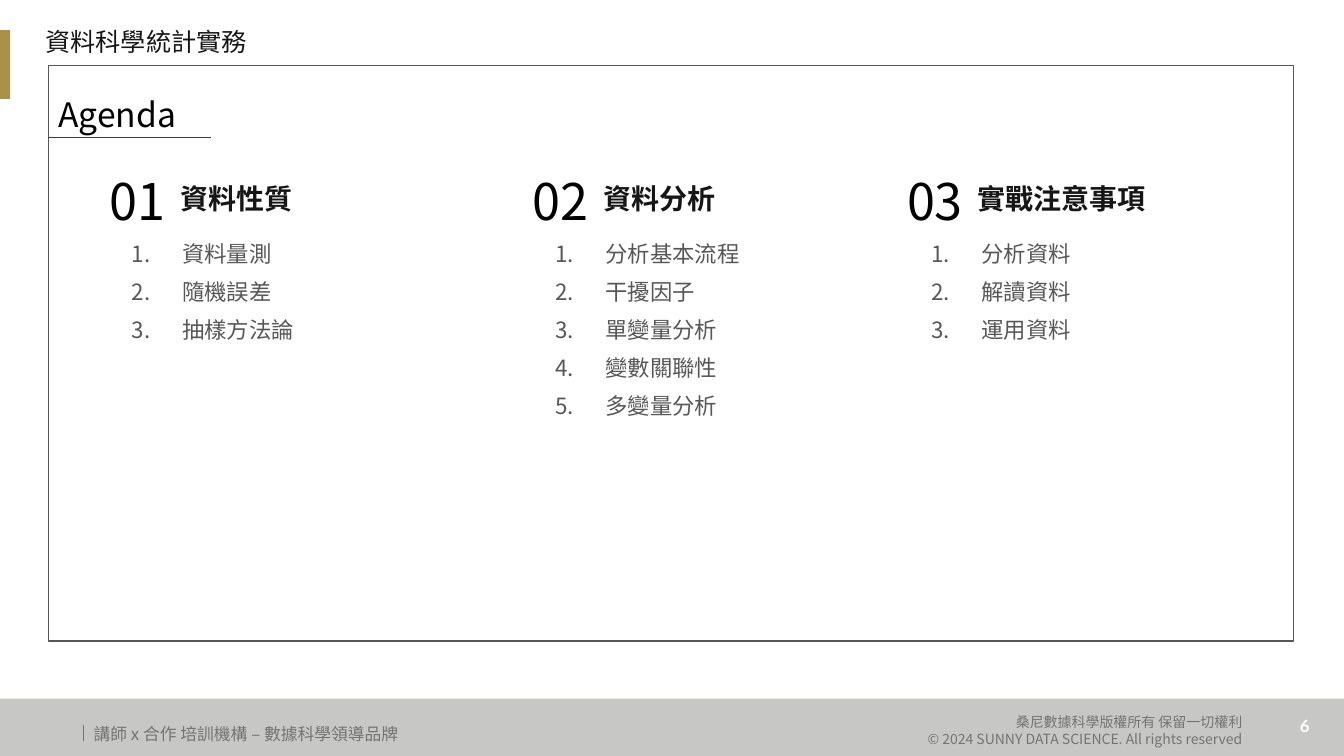
import pptx
import pptx.dml.color
import pptx.enum.shapes
import pptx.enum.text
import pptx.oxml.ns
import pptx.util
from lxml import etree

Pt = pptx.util.Pt
ALIGN = pptx.enum.text.PP_ALIGN
ANCHOR = pptx.enum.text.MSO_ANCHOR
SANS = "Noto Sans CJK SC"
GREY, FOOTER_GREY, INK = "565856", "737572", "161616"

# number, number left, list left, list width, heading, topics
SECTIONS = [
    ("01", 55.4, 87.1, 206, "資料性質", ["資料量測", "隨機誤差", "抽樣方法論"]),
    ("02", 357.8, 389.5, 318, "資料分析",
     ["分析基本流程", "干擾因子", "單變量分析", "變數關聯性", "多變量分析"]),
    ("03", 625, 658.1, 266, "實戰注意事項", ["分析資料", "解讀資料", "運用資料"]),
]


def color(hex_value):
    return pptx.dml.color.RGBColor.from_string(hex_value)


def add_box(slide, left, top, width, height, fill=None, line=None):
    box = slide.shapes.add_shape(pptx.enum.shapes.MSO_SHAPE.RECTANGLE,
                                 Pt(left), Pt(top), Pt(width), Pt(height))
    box.shadow.inherit = False
    if fill:
        box.fill.solid()
        box.fill.fore_color.rgb = color(fill)
    else:
        box.fill.background()
    if line:
        box.line.color.rgb = color(line)
        box.line.width = Pt(1)
    else:
        box.line.fill.background()


def add_rule(slide, x1, y1, x2, y2, line):
    rule = slide.shapes.add_connector(pptx.enum.shapes.MSO_CONNECTOR.STRAIGHT,
                                      Pt(x1), Pt(y1), Pt(x2), Pt(y2))
    rule.line.color.rgb = color(line)
    rule.line.width = Pt(0.5)
    etree.SubElement(rule._element.spPr, pptx.oxml.ns.qn("a:effectLst"))


def add_text(slide, left, top, width, height, lines, size, ink, font=SANS,
             bold=False, align=ALIGN.LEFT, anchor=ANCHOR.TOP, wrap=True,
             margins=(7.2, 3.6), spacing=None):
    frame = slide.shapes.add_textbox(Pt(left), Pt(top), Pt(width), Pt(height)).text_frame
    frame.word_wrap = wrap
    frame.vertical_anchor = anchor
    frame.margin_left = frame.margin_right = Pt(margins[0])
    frame.margin_top = frame.margin_bottom = Pt(margins[1])
    frame.text = "\n".join(lines)
    for paragraph in frame.paragraphs:
        paragraph.alignment = align
        paragraph.line_spacing = spacing
        for run in paragraph.runs:
            run.font.size = Pt(size)
            run.font.bold = bold
            run.font.name = font
            run.font.color.rgb = color(ink)
            east_asian = etree.SubElement(run._r.get_or_add_rPr(), pptx.oxml.ns.qn("a:ea"))
            east_asian.set("typeface", font)
    return frame


def add_numbered_list(slide, left, width, topics):
    frame = add_text(slide, left, 170, width, 160, topics, 16, GREY, spacing=0.9)
    for index, paragraph in enumerate(frame.paragraphs):
        paragraph.space_before = Pt(10 if index else 0)
        properties = paragraph._p.get_or_add_pPr()
        properties.set("marL", str(Pt(36)))
        properties.set("indent", str(-Pt(36)))
        numbering = etree.SubElement(properties, pptx.oxml.ns.qn("a:buAutoNum"))
        numbering.set("type", "arabicPeriod")


def add_section(slide, number, left, list_left, list_width, heading, topics):
    add_text(slide, left, 126, 85.7, 34.6, [number], 36, "000000",
             align=ALIGN.CENTER, anchor=ANCHOR.MIDDLE)
    add_text(slide, left + 69.8, 116, 280, 54.7, [heading], 20, INK, bold=True,
             anchor=ANCHOR.MIDDLE, margins=(3.6, 2), spacing=0.9)
    add_numbered_list(slide, list_left, list_width, topics)


def add_footer(slide):
    add_box(slide, 0, 499, 960, 41, fill="C7C8C6")
    add_rule(slide, 59.8, 517.7, 59.8, 529.2, FOOTER_GREY)
    add_text(slide, 918, 507.6, 28, 21.6, ["6"], 12, "FFFFFF", font="Lato",
             bold=True, align=ALIGN.CENTER, wrap=False)
    add_text(slide, 553, 506.2, 341.3, 31.7,
             ["桑尼數據科學版權所有 保留一切權利",
              "© 2024 SUNNY DATA SCIENCE. All rights reserved"],
             10, FOOTER_GREY, align=ALIGN.RIGHT)
    add_text(slide, 59.8, 513.4, 341.3, 21.6,
             ["講師 x 合作 培訓機構 – 數據科學領導品牌"], 12, FOOTER_GREY)


def main():
    deck = pptx.Presentation()
    deck.slide_width, deck.slide_height = Pt(960), Pt(540)
    slide = deck.slides.add_slide(deck.slide_layouts[6])

    # Footer and accent bar
    add_footer(slide)
    add_box(slide, -2, 21.6, 9.2, 49, fill="AA914A")

    # Course title, frame and agenda title
    add_box(slide, 34.6, 46.8, 889.2, 411, line=GREY)
    add_rule(slide, 34.6, 98.4, 150.5, 98.4, "3A3A39")
    add_text(slide, 34.6, 64, 388, 34.6, ["Agenda"], 24, "000000", anchor=ANCHOR.MIDDLE)
    add_text(slide, 25.2, 15.1, 481, 29, ["資料科學統計實務"], 18, INK,
             font="Noto Sans CJK TC")

    # Agenda sections
    for section in SECTIONS:
        add_section(slide, *section)

    deck.save("out.pptx")


if __name__ == "__main__":
    main()
